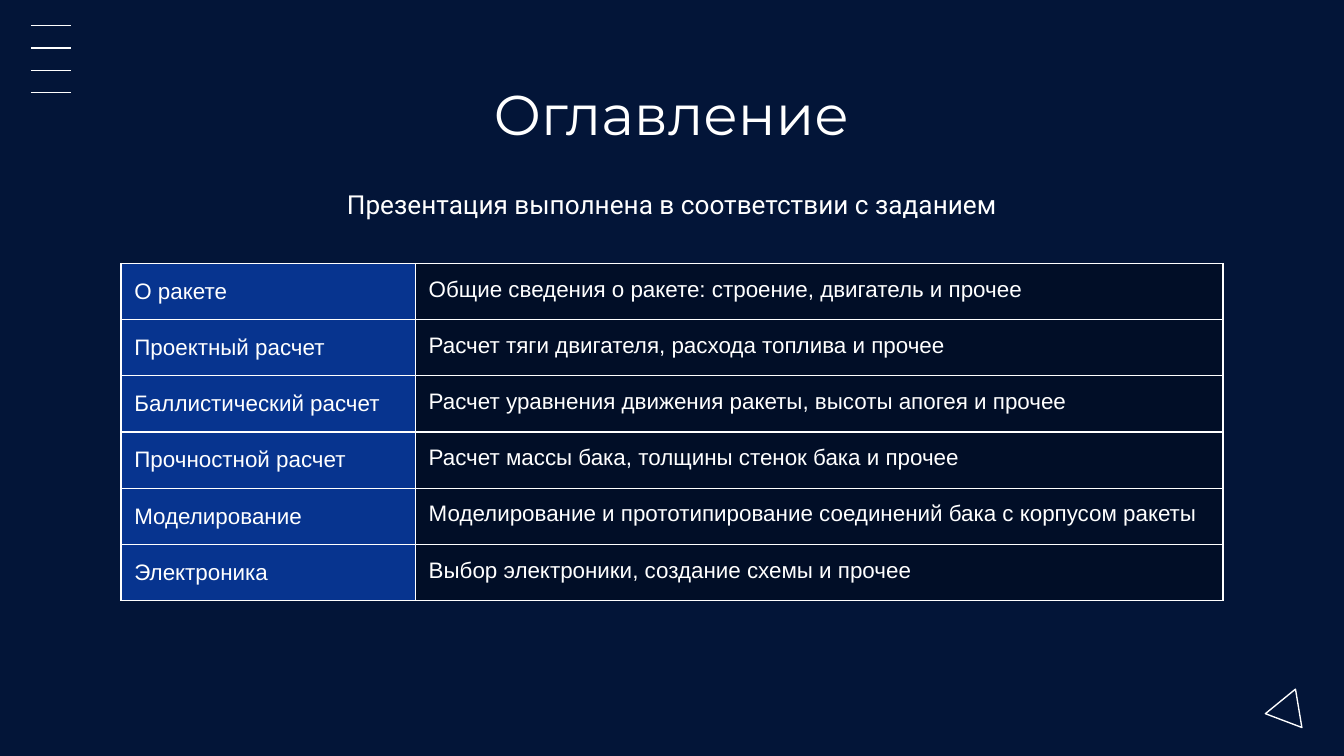
from pptx import Presentation
from pptx.dml.color import RGBColor
from pptx.enum.shapes import MSO_CONNECTOR, MSO_SHAPE
from pptx.enum.text import MSO_ANCHOR, MSO_AUTO_SIZE, PP_ALIGN
from pptx.oxml.ns import qn
from pptx.util import Inches, Pt
from lxml import etree

STRAIGHT = MSO_CONNECTOR.STRAIGHT
TRIANGLE = MSO_SHAPE.ISOSCELES_TRIANGLE
TOP, MIDDLE = MSO_ANCHOR.TOP, MSO_ANCHOR.MIDDLE
CENTER, LEFT = PP_ALIGN.CENTER, PP_ALIGN.LEFT
NO_FIT = MSO_AUTO_SIZE.NONE

COLORS = {"back": "031538", "white": "FFFFFF", "topic": "07348F", "detail": "010E27"}
WIDTH = Inches(10)
HEIGHT = WIDTH * 9 // 16
LINE = Pt(0.75)
PAD = Inches(0.1)

ROWS = [
    ("О ракете", "Общие сведения о ракете: строение, двигатель и прочее"),
    ("Проектный расчет", "Расчет тяги двигателя, расхода топлива и прочее"),
    ("Баллистический расчет", "Расчет уравнения движения ракеты, высоты апогея и прочее"),
    ("Прочностной расчет", "Расчет массы бака, толщины стенок бака и прочее"),
    ("Моделирование", "Моделирование и прототипирование соединений бака с корпусом ракеты"),
    ("Электроника", "Выбор электроники, создание схемы и прочее"),
]


def color(name):
    return RGBColor.from_string(COLORS[name])


def add_run(para, text, font, size):
    run = para.add_run()
    run.text = text
    run.font.name = font
    run.font.size = Pt(size)
    run.font.color.rgb = color("white")


def set_pad(box):
    box.margin_left = box.margin_right = box.margin_top = box.margin_bottom = PAD


def fill_holder(holder, box, text, font, size):
    """Move a placeholder and give it one centred, unbulleted line."""
    holder.left, holder.top, holder.width, holder.height = map(Inches, box)
    frame = holder.text_frame
    frame.word_wrap = True
    frame.auto_size = NO_FIT
    frame.vertical_anchor = TOP
    set_pad(frame)
    para = frame.paragraphs[0]
    props = para._p.get_or_add_pPr()
    props.set("marL", "0")
    props.set("indent", "0")
    etree.SubElement(props, qn("a:buNone"))
    para.alignment = CENTER
    para.space_before = Pt(0)
    add_run(para, text, font, size)


def add_menu(slide):
    """Draw the four short lines in the top left corner."""
    for i in range(4):
        y = Inches(0.19 + i * 0.5 / 3)
        line = slide.shapes.add_connector(STRAIGHT, Inches(0.23), y, Inches(0.53), y)
        line.line.color.rgb = color("white")
        line.line.width = LINE
        etree.SubElement(line._element.spPr, qn("a:effectLst"))


def add_arrow(slide):
    """Draw the tilted triangle in the bottom right corner."""
    shape = slide.shapes.add_shape(
        TRIANGLE, Inches(9.45), Inches(5.12), Inches(0.29), Inches(0.25))
    shape.rotation = 20.7
    shape.shadow.inherit = False
    shape.fill.background()
    shape.line.color.rgb = color("white")
    shape.line.width = LINE


def add_border(cell):
    props = cell._tc.get_or_add_tcPr()
    for i, side in enumerate(("lnL", "lnR", "lnT", "lnB")):
        edge = etree.Element(qn(f"a:{side}"), w=str(LINE))
        fill = etree.SubElement(edge, qn("a:solidFill"))
        etree.SubElement(fill, qn("a:srgbClr"), val=COLORS["white"])
        props.insert(i, edge)


def fill_cell(cell, text, back, anchor):
    cell.fill.solid()
    cell.fill.fore_color.rgb = color(back)
    cell.vertical_anchor = anchor
    set_pad(cell)
    add_border(cell)
    para = cell.text_frame.paragraphs[0]
    para.alignment = LEFT
    add_run(para, text, "Arial", 12)


def add_topics(slide):
    table = slide.shapes.add_table(
        len(ROWS), 2, Inches(0.9), Inches(1.96), Inches(8.2), Inches(2.51)).table
    table.first_row = table.horz_banding = False
    table.columns[0].width = Inches(2.19)
    table.columns[1].width = Inches(6.01)
    for i, (topic, detail) in enumerate(ROWS):
        fill_cell(table.cell(i, 0), topic, "topic", MIDDLE)
        fill_cell(table.cell(i, 1), detail, "detail", TOP)


def main():
    deck = Presentation()
    deck.slide_width, deck.slide_height = WIDTH, HEIGHT
    slide = deck.slides.add_slide(deck.slide_layouts[1])
    slide.background.fill.solid()
    slide.background.fill.fore_color.rgb = color("back")
    add_menu(slide)
    add_arrow(slide)
    fill_holder(slide.placeholders[1], (0.78, 1.3, 8.44, 0.44),
                "Презентация выполнена в соответствии с заданием", "Roboto", 14)
    fill_holder(slide.shapes.title, (2.43, 0.49, 5.13, 0.81),
                "Оглавление", "Montserrat", 30)
    add_topics(slide)
    deck.save("out.pptx")


if __name__ == "__main__":
    main()
